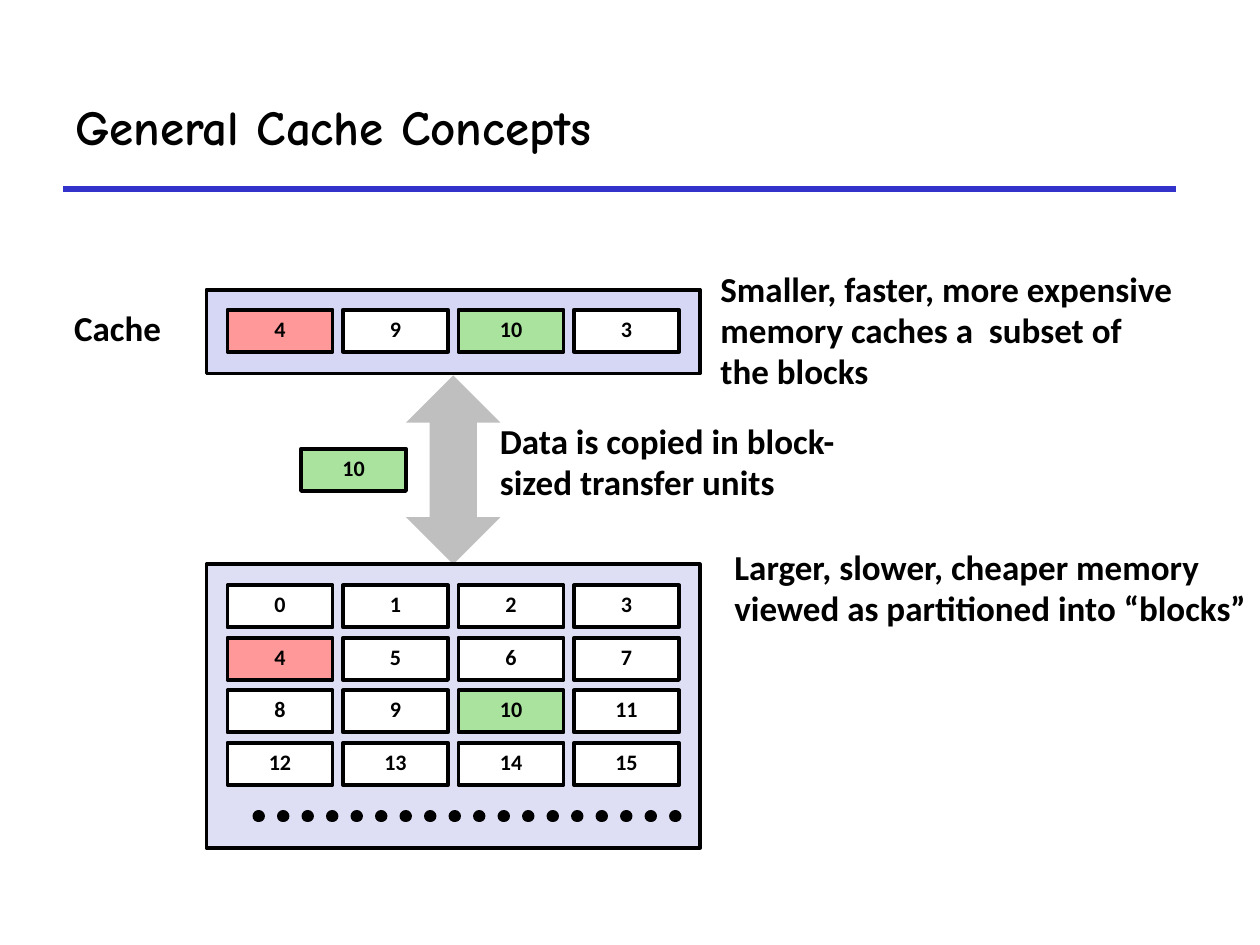
"""Build the General Cache Concepts slide."""
from lxml.etree import SubElement
from pptx import Presentation
from pptx.dml.color import RGBColor
from pptx.enum.dml import MSO_LINE
from pptx.enum.shapes import MSO_CONNECTOR, MSO_SHAPE
from pptx.enum.text import MSO_ANCHOR as Anchor, MSO_AUTO_SIZE as AutoSize, PP_ALIGN as Align
from pptx.oxml.ns import qn
from pptx.util import Pt

BLACK = RGBColor(0x00, 0x00, 0x00)
WHITE = RGBColor(0xFF, 0xFF, 0xFF)
BLUE = RGBColor(0x33, 0x33, 0xCC)
GRAY = RGBColor(0xBF, 0xBF, 0xBF)
MEMORY_FILL = RGBColor(0xDE, 0xDF, 0xF5)
CACHE_FILL = RGBColor(0xD6, 0xD6, 0xF5)
RED = RGBColor(0xFF, 0x99, 0x99)
GREEN = RGBColor(0xA9, 0xE3, 0x9D)

TITLE = "General Cache Concepts"
CACHE_BLOCKS = [4, 9, 10, 3]
MEMORY_BLOCKS = list(range(16))
TRANSFER_BLOCK = 10
HIGHLIGHTS = {4: RED, 10: GREEN}
LABELS = [
    ("Cache", (35.3, 171.4, 64, 31.5), {"anchor": Anchor.TOP, "spacing": 1.0}),
    ("Larger, slower, cheaper memory\nviewed as partitioned into “blocks”",
     (412.6, 308.9, 307.4, 54.7), {}),
    ("Data is copied in block-sized transfer units",
     (278.6, 236.9, 223.2, 54.7), {"wrap": True}),
    ("Smaller, faster, more expensive\nmemory caches a  subset of\nthe blocks",
     (404.6, 150.5, 277.2, 77.8), {}),
]

COLUMNS = 4
BLOCK_WIDTH, BLOCK_HEIGHT = 60, 24
COLUMN_STEP, ROW_STEP = 66, 30
BLOCKS_LEFT, CACHE_TOP, MEMORY_TOP = 130, 177, 334.5


def write_text(shape, text, size=20, font="Calibri", bold=True, align=Align.LEFT,
               anchor=Anchor.MIDDLE, spacing=0.98, wrap=False, auto_size=AutoSize.SHAPE_TO_FIT_TEXT):
    frame = shape.text_frame
    frame.text = text
    frame.word_wrap = wrap
    frame.auto_size = auto_size
    frame.vertical_anchor = anchor
    for paragraph in frame.paragraphs:
        paragraph.alignment = align
        paragraph.line_spacing = spacing
        paragraph.font.size = Pt(size)
        paragraph.font.name = font
        paragraph.font.bold = bold
        paragraph.font.color.rgb = BLACK


def add_text(slide, text, box, **text_format):
    write_text(slide.shapes.add_textbox(*map(Pt, box)), text, **text_format)


def add_shape(slide, kind, box, fill, outlined=True):
    shape = slide.shapes.add_shape(kind, *map(Pt, box))
    shape.shadow.inherit = False
    shape.fill.solid()
    shape.fill.fore_color.rgb = fill
    if outlined:
        shape.line.color.rgb = BLACK
        shape.line.width = Pt(2.25)
    else:
        shape.line.fill.background()
    return shape


def add_block(slide, number, left, top):
    fill = HIGHLIGHTS.get(number, WHITE)
    shape = add_shape(slide, MSO_SHAPE.RECTANGLE, (left, top, BLOCK_WIDTH, BLOCK_HEIGHT), fill)
    write_text(shape, str(number), size=12.6, align=Align.CENTER, spacing=0.8,
               wrap=True, auto_size=AutoSize.NONE)


def add_blocks(slide, numbers, top):
    for index, number in enumerate(numbers):
        row, column = divmod(index, COLUMNS)
        add_block(slide, number, BLOCKS_LEFT + column * COLUMN_STEP, top + row * ROW_STEP)


def add_line(slide, left, right, y, color, width):
    connector = slide.shapes.add_connector(MSO_CONNECTOR.STRAIGHT, Pt(left), Pt(y), Pt(right), Pt(y))
    connector.line.color.rgb = color
    connector.line.width = Pt(width)
    SubElement(connector.element.spPr, qn("a:effectLst"))
    return connector


def main():
    presentation = Presentation()
    presentation.slide_width, presentation.slide_height = Pt(720), Pt(540)
    slide = presentation.slides.add_slide(presentation.slide_layouts[6])

    add_line(slide, 36, 672, 108, BLUE, 3)
    add_text(slide, TITLE, (36, 36, 636, 72), size=28, font="Comic Neue",
             spacing=1.0, wrap=True, auto_size=AutoSize.NONE)

    arrow = add_shape(slide, MSO_SHAPE.UP_DOWN_ARROW, (232, 214.5, 54, 108), GRAY, outlined=False)
    arrow.adjustments[0] = arrow.adjustments[1] = 0.5
    add_shape(slide, MSO_SHAPE.RECTANGLE, (118, 322.5, 282, 162), MEMORY_FILL)
    add_shape(slide, MSO_SHAPE.RECTANGLE, (118, 165.5, 282, 48), CACHE_FILL)

    add_blocks(slide, MEMORY_BLOCKS, MEMORY_TOP)
    add_blocks(slide, CACHE_BLOCKS, CACHE_TOP)
    add_block(slide, TRANSFER_BLOCK, 172, 256.5)

    dots = add_line(slide, 147.8, 388, 466.5, BLACK, 7)
    dots.line.dash_style = MSO_LINE.ROUND_DOT
    dots.element.spPr.find(qn("a:ln")).set("cap", "rnd")

    for text, box, text_format in LABELS:
        add_text(slide, text, box, **text_format)

    presentation.save("out.pptx")


if __name__ == "__main__":
    main()
